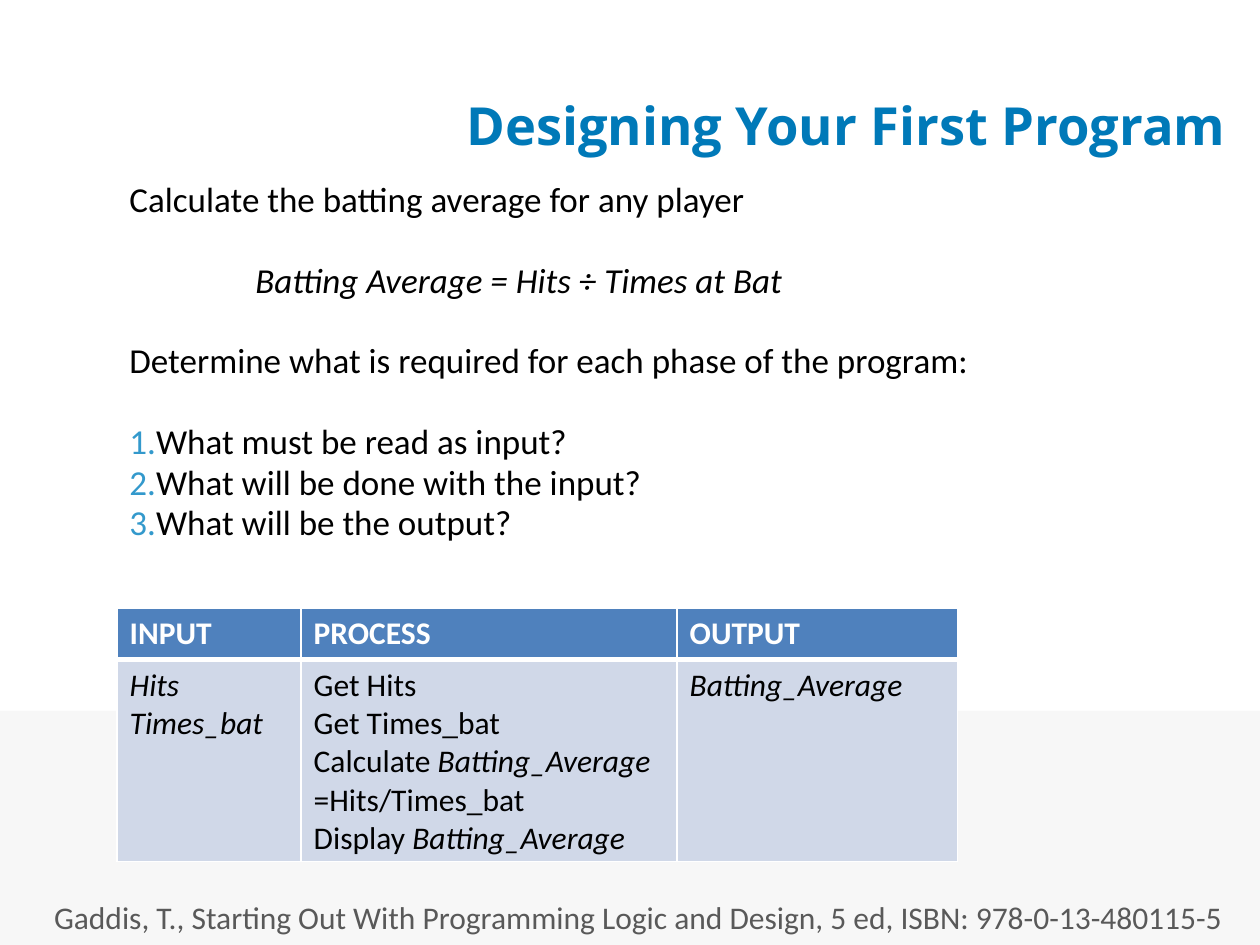
"""Build the program design slide with its input, process and output table."""
from dataclasses import dataclass

from lxml.etree import SubElement
from pptx import Presentation
from pptx.dml.color import RGBColor
from pptx.enum.shapes import MSO_SHAPE as Preset
from pptx.enum.text import MSO_ANCHOR as Anchor, MSO_AUTO_SIZE as Fit, PP_ALIGN as Align
from pptx.oxml.ns import qn
from pptx.util import Cm, Pt


@dataclass(frozen=True)
class Theme:
    """Colours, fonts and type sizes of the slide."""
    title: str = "0079B8"
    text: str = "000000"
    muted: str = "595959"
    number: str = "3399CC"
    band: str = "F7F7F7"
    white: str = "FFFFFF"
    header: str = "4F81BD"
    cell: str = "D0D8E8"
    heading_font: str = "Open Sans"
    body_font: str = "Calibri"
    title_size: float = 30
    body_size: float = 20
    small_size: float = 18
    line_gap: float = 3.75
    block_gap: float = 27
    thin: float = 1
    thick: float = 3


class Page:
    """Hold the theme and the current slide, and add elements to it."""

    def __init__(self, deck, theme):
        self.theme = theme
        self.slide = deck.slides.add_slide(deck.slide_layouts[5])

    def span(self, para, text, size, color, bold=False, italic=False, font=None):
        """Add one formatted run to a paragraph."""
        span = para.add_run()
        span.text = text
        span.font.name = font or self.theme.body_font
        span.font.size = Pt(size)
        span.font.bold, span.font.italic = bold, italic
        span.font.color.rgb = RGBColor.from_string(color)

    def title(self, text, place):
        """Place and format the title placeholder."""
        box = self.slide.shapes.title
        box.left, box.top, box.width, box.height = map(Cm, place)
        box.text_frame.vertical_anchor = Anchor.MIDDLE
        box.text_frame.auto_size = Fit.NONE
        para = box.text_frame.paragraphs[0]
        para.alignment = Align.RIGHT
        theme = self.theme
        self.span(para, text, theme.title_size, theme.title, True, font=theme.heading_font)

    def band(self, place):
        """Add a plain background band behind everything else."""
        band = self.slide.shapes.add_shape(Preset.RECTANGLE, *map(Cm, place))
        band.shadow.inherit = False
        band.fill.solid()
        band.fill.fore_color.rgb = RGBColor.from_string(self.theme.band)
        band.line.fill.background()
        tree = self.slide.shapes.title.element.getparent()
        tree.insert(tree.index(self.slide.shapes.title.element), band.element)

    def box(self, place):
        """Add a wrapping text box and return its frame."""
        frame = self.slide.shapes.add_textbox(*map(Cm, place)).text_frame
        frame.word_wrap = True
        return frame

    def caption(self, text, place):
        """Add a muted source line."""
        para = self.box(place).paragraphs[0]
        self.span(para, text, self.theme.small_size, self.theme.muted)

    def body(self, lines, place):
        """Add the main text from (text, kind, starts a block) lines."""
        frame, theme = self.box(place), self.theme
        frame.margin_right = 0
        for index, (text, kind, starts_block) in enumerate(lines):
            para = frame.add_paragraph() if index else frame.paragraphs[0]
            para.line_spacing = 0.8
            para.space_before = Pt(theme.block_gap if starts_block else theme.line_gap)
            if kind == "formula":
                para._p.get_or_add_pPr().set("marL", str(Cm(2.54)))
            elif kind == "step":
                self.number(para)
            self.span(para, text, theme.body_size, theme.text, italic=kind == "formula")

    def number(self, para):
        """Give a paragraph a coloured automatic number."""
        props = para._p.get_or_add_pPr()
        props.set("marL", "0")
        props.set("indent", "0")
        color = SubElement(props, qn("a:buClr"))
        SubElement(color, qn("a:srgbClr"), val=self.theme.number)
        SubElement(props, qn("a:buFont"), typeface="+mj-lt")
        SubElement(props, qn("a:buAutoNum"), type="arabicPeriod")

    def borders(self, cell, **widths):
        """Draw white borders on the sides L, R, T and B."""
        props = cell._tc.get_or_add_tcPr()
        for index, (side, width) in enumerate(widths.items()):
            line = SubElement(props, qn(f"a:ln{side}"), w=str(Pt(width)))
            fill = SubElement(line, qn("a:solidFill"))
            SubElement(fill, qn("a:srgbClr"), val=self.theme.white)
            props.insert(index, line)

    def table(self, rows, place, widths, heights):
        """Add a table whose cells are paragraphs of (text, italic) runs."""
        theme = self.theme
        table = self.slide.shapes.add_table(len(rows), len(widths), *map(Cm, place)).table
        for column, width in zip(table.columns, widths):
            column.width = Cm(width)
        for index, (row, height, contents) in enumerate(zip(table.rows, heights, rows)):
            row.height = Cm(height)
            is_header = index == 0
            for cell, lines in zip(row.cells, contents):
                cell.fill.solid()
                cell.fill.fore_color.rgb = RGBColor.from_string(
                    theme.header if is_header else theme.cell)
                self.borders(cell, L=theme.thin, R=theme.thin,
                             T=theme.thin if is_header else theme.thick,
                             B=theme.thick if is_header else theme.thin)
                for number, runs in enumerate(lines):
                    frame = cell.text_frame
                    para = frame.add_paragraph() if number else frame.paragraphs[0]
                    for text, italic in runs:
                        self.span(para, text, theme.small_size,
                                  theme.white if is_header else theme.text,
                                  is_header, italic)


BODY = [
    ("Calculate the batting average for any player", "plain", False),
    ("Batting Average = Hits ÷ Times at Bat", "formula", True),
    ("Determine what is required for each phase of the program:", "plain", True),
    ("What must be read as input?", "step", True),
    ("What will be done with the input?", "step", False),
    ("What will be the output?", "step", False),
]
AVERAGE = ("Batting_Average", True)
PHASES = [
    [[[(name, False)]] for name in ("INPUT", "PROCESS", "OUTPUT")],
    [
        [[("Hits", True)], [("Times_bat", True)]],
        [[("Get Hits", False)], [("Get Times_bat", False)],
         [("Calculate ", False), AVERAGE], [("=Hits/Times_bat", False)],
         [("Display ", False), AVERAGE]],
        [[AVERAGE]],
    ],
]


def main():
    """Build and save the deck."""
    deck = Presentation()
    deck.slide_width, deck.slide_height = Cm(25.4), Cm(19.05)
    page = Page(deck, Theme())
    page.band((0, 14.33, 25.4, 4.72))
    page.title("Designing Your First Program", (9.09, 1.4, 15.88, 2.21))
    page.caption("Gaddis, T., Starting Out With Programming Logic and Design, 5 ed, "
                 "ISBN: 978-0-13-480115-5", (0.84, 17.98, 24.56, 1.02))
    page.body(BODY, (2.36, 3.61, 21.77, 9.53))
    page.table(PHASES, (2.36, 12.27, 16.94, 5.1), (3.71, 7.58, 5.65), (1.03, 4.07))
    deck.save("out.pptx")


if __name__ == "__main__":
    main()
